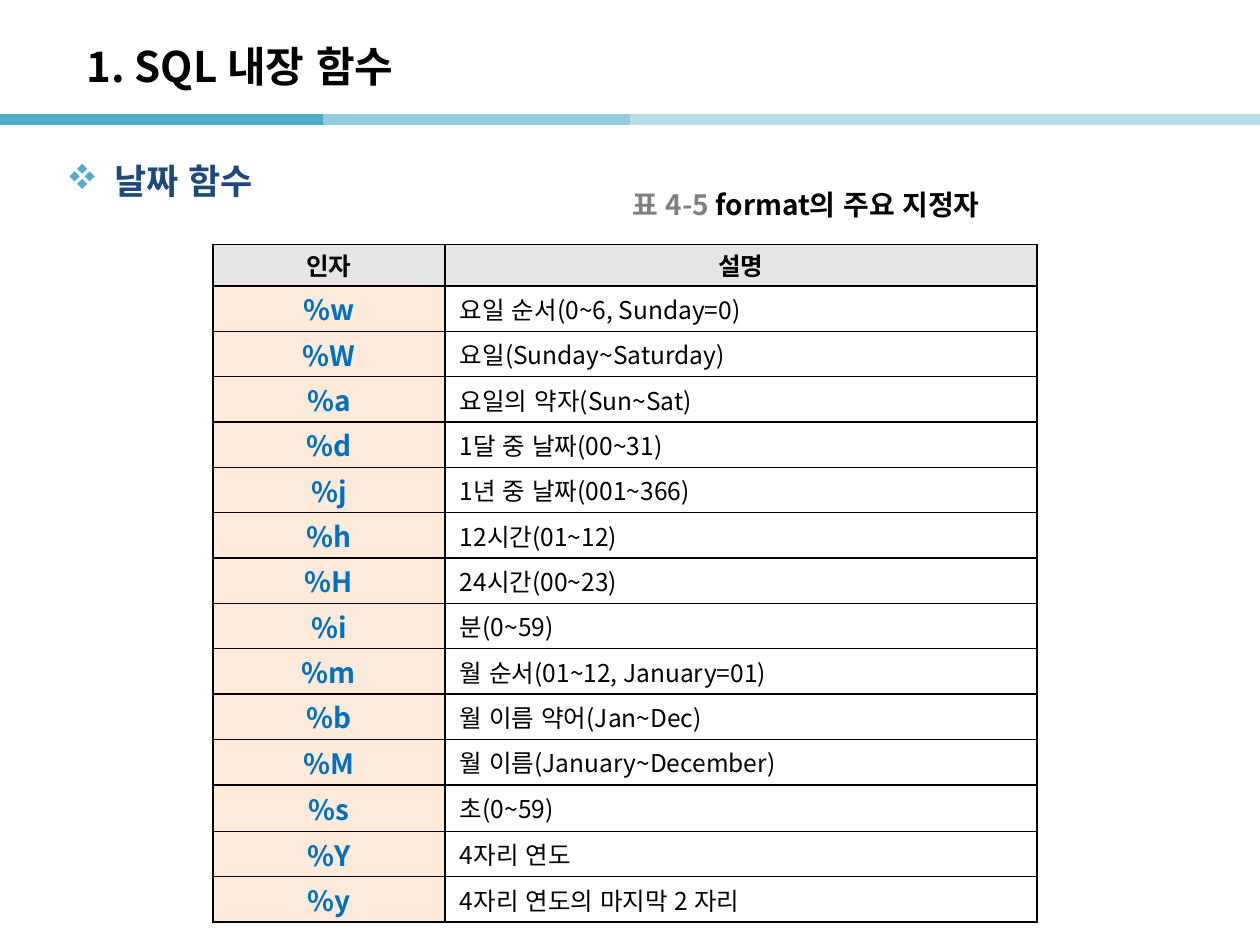
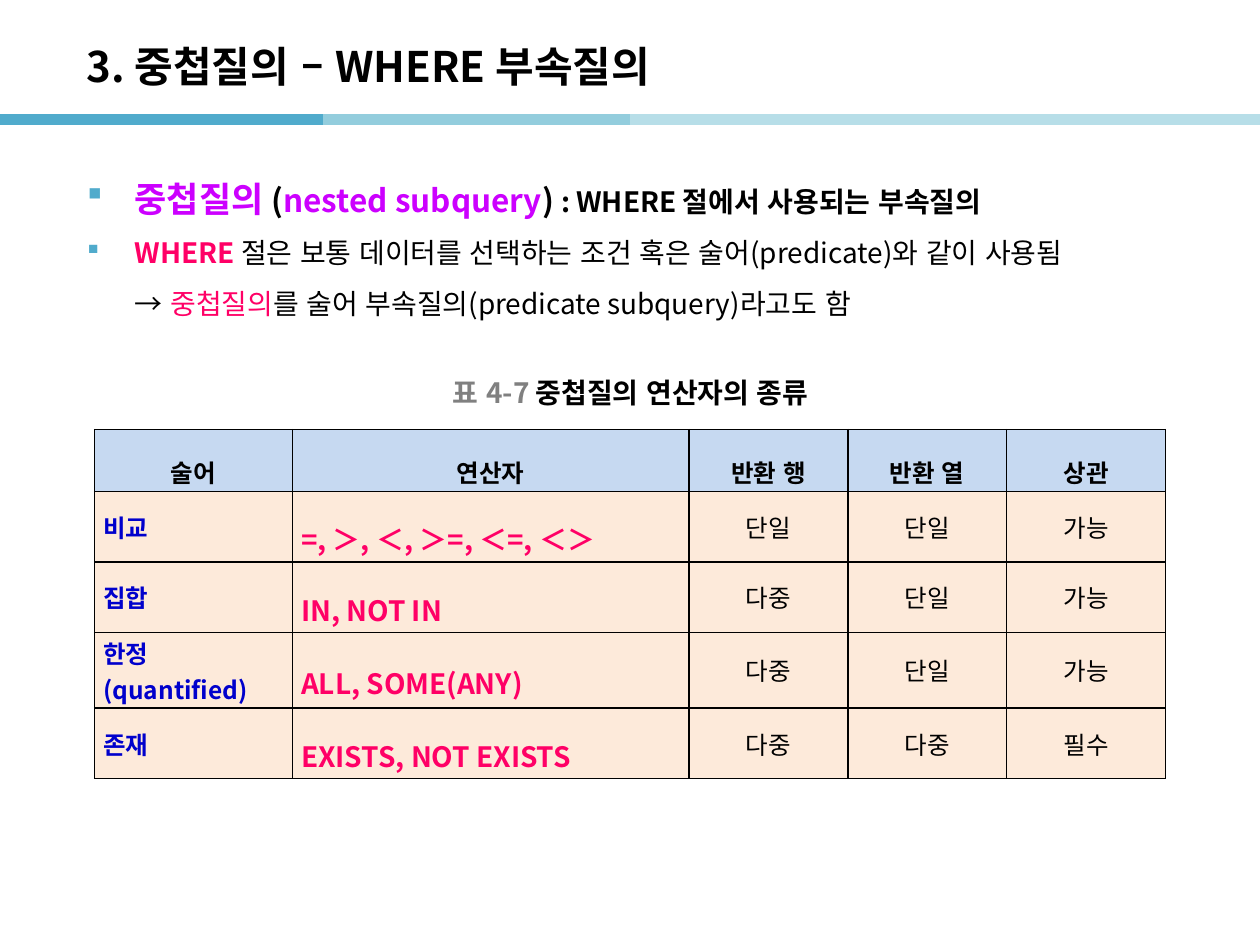
from lxml.etree import SubElement
from pptx import Presentation
from pptx.dml.color import RGBColor
from pptx.enum.lang import MSO_LANGUAGE_ID as Language
from pptx.enum.shapes import MSO_CONNECTOR
from pptx.enum.text import MSO_ANCHOR as Anchor, PP_ALIGN as Align
from pptx.oxml.ns import qn
from pptx.util import Inches, Pt

FONT = "Noto Sans CJK KR"
COLORS = {
    "black": "000000", "gray": "808080", "navy": "1F497D", "blue": "0070C0",
    "royal": "0000CC", "pink": "FF0066", "violet": "CC00FF",
    "teal": "50ABCC", "aqua": "93CDDD", "pale": "B7DEE8",
    "silver": "E5E5E5", "peach": "FDEADA", "sky": "C6D9F1",
}
BANDS = [(0, "teal"), (2.56, "aqua"), (5, "pale"), (7.44, "pale")]
BAND_TOP, BAND_WIDTH = 0.95, 2.56
TITLE_BOX = (0.59, 0.22, 8.27, 0.6)
INDENT = 0.38
BULLET_FONT, DIAMONDS, SQUARE = "Wingdings", "v", "§"

DATE_TITLE = "1. SQL 내장 함수"
DATE_HEADING = "날짜 함수"
DATE_CAPTION = ("표 4-5 ", "format의 주요 지정자")
DATE_FORMATS = [
    ("인자", "설명"),
    ("%w", "요일 순서(0~6, Sunday=0)"),
    ("%W", "요일(Sunday~Saturday)"),
    ("%a", "요일의 약자(Sun~Sat)"),
    ("%d", "1달 중 날짜(00~31)"),
    ("%j", "1년 중 날짜(001~366)"),
    ("%h", "12시간(01~12)"),
    ("%H", "24시간(00~23)"),
    ("%i", "분(0~59)"),
    ("%m", "월 순서(01~12, January=01)"),
    ("%b", "월 이름 약어(Jan~Dec)"),
    ("%M", "월 이름(January~December)"),
    ("%s", "초(0~59)"),
    ("%Y", "4자리 연도"),
    ("%y", "4자리 연도의 마지막 2 자리"),
]
DATE_HEIGHTS = [0.33] + [0.36] * 11 + [0.37] + [0.36] * 2

NESTED_TITLE = "3. 중첩질의 – WHERE 부속질의"
NESTED_POINTS = [
    (SQUARE, [("중첩질의", 20, "violet", True), (" ", 16, "violet", True),
              ("(", 18, "black", True), ("nested subquery", 18, "violet", True),
              (") ", 18, "black", True),
              (": WHERE 절에서 사용되는 부속질의", 16, "black", True)]),
    (SQUARE, [("WHERE ", 16, "pink", True),
              ("절은 보통 데이터를 선택하는 조건 혹은 술어(predicate)와 같이 사용됨",
               16, "black", False)]),
    (None, [("→ ", 16, "black", False), ("중첩질의", 16, "pink", False),
            ("를 술어 부속질의(predicate subquery)라고도 함", 16, "black", False)]),
]
NESTED_CAPTION = ("표 4-7 ", "중첩질의 연산자의 종류")
OPERATORS = [
    ("술어", "연산자", "반환 행", "반환 열", "상관"),
    ("비교", "=, ＞, ＜, ＞=, ＜=, ＜＞", "단일", "단일", "가능"),
    ("집합", "IN, NOT IN", "다중", "단일", "가능"),
    ("한정(quantified)", "ALL, SOME(ANY)", "다중", "단일", "가능"),
    ("존재", "EXISTS, NOT EXISTS", "다중", "다중", "필수"),
]
OPERATOR_HEIGHTS = [0.49, 0.56, 0.56, 0.6, 0.56]

# size, colour, bold, alignment, line spacing, fill, left margin
DATE_HEAD = (14, "black", True, Align.CENTER, None, "silver", 0.07)
DATE_COLUMNS = [
    (16, "blue", True, Align.CENTER, None, "peach", 0.07),
    (14, "black", False, Align.JUSTIFY, None, None, 0.12),
]
OPERATOR_HEAD = (14, "black", True, Align.CENTER, 1.6, "sky", 0.07)
OPERATOR_COLUMNS = [
    (14, "royal", True, Align.LEFT, None, "peach", 0.07),
    (16, "pink", True, Align.LEFT, 1.6, "peach", 0.07),
] + [(14, "black", False, Align.CENTER, None, "peach", 0.07)] * 3


def rgb(name):
    return RGBColor.from_string(COLORS[name])


def write(paragraph, runs, align=Align.LEFT, spacing=None):
    paragraph.alignment = align
    if spacing:
        paragraph.line_spacing = spacing
    for text, size, color, bold in runs:
        run = paragraph.add_run()
        run.text = text
        run.font.size, run.font.bold, run.font.name = Pt(size), bold, FONT
        run.font.color.rgb = rgb(color)
        run.font.language_id = Language.KOREAN
        SubElement(run.font._element, qn("a:ea"), typeface=FONT)


def add_bullet(paragraph, mark):
    props = paragraph._p.get_or_add_pPr()
    props.set("marL", str(Inches(INDENT)))
    props.set("indent", str(-Inches(INDENT) if mark else 0))
    if mark:
        color = SubElement(props, qn("a:buClr"))
        SubElement(color, qn("a:srgbClr"), val=COLORS["teal"])
        SubElement(props, qn("a:buFont"), typeface=BULLET_FONT,
                   pitchFamily="2", charset="2")
        SubElement(props, qn("a:buChar"), char=mark)


def add_text(slide, box, anchor=Anchor.MIDDLE, wrap=True):
    frame = slide.shapes.add_textbox(*map(Inches, box)).text_frame
    frame.word_wrap, frame.vertical_anchor = wrap, anchor
    return frame


def add_caption(slide, box, caption, align):
    number, label = caption
    frame = add_text(slide, box, wrap=False)
    write(frame.paragraphs[0],
          [(number, 16, "gray", True), (label, 16, "black", True)], align)


def start_slide(deck, title):
    slide = deck.slides.add_slide(deck.slide_layouts[6])
    for left, color in BANDS:
        band = slide.shapes.add_connector(
            MSO_CONNECTOR.STRAIGHT, Inches(left), Inches(BAND_TOP),
            Inches(left + BAND_WIDTH), Inches(BAND_TOP))
        band.line.color.rgb, band.line.width = rgb(color), Pt(6)
        SubElement(band._element.spPr, qn("a:effectLst"))
    write(add_text(slide, TITLE_BOX).paragraphs[0], [(title, 24, "black", True)])
    return slide


def add_borders(cell):
    props = cell._tc.get_or_add_tcPr()
    for position, side in enumerate(("a:lnL", "a:lnR", "a:lnT", "a:lnB")):
        border = SubElement(props, qn(side), w=str(Pt(1)))
        props.insert(position, border)
        solid = SubElement(border, qn("a:solidFill"))
        SubElement(solid, qn("a:srgbClr"), val=COLORS["black"])


def add_grid(slide, corner, widths, heights, rows, head, columns):
    table = slide.shapes.add_table(
        len(rows), len(widths), *map(Inches, corner),
        Inches(sum(widths)), Inches(sum(heights))).table
    table.first_row = table.horz_banding = False
    for column, width in zip(table.columns, widths):
        column.width = Inches(width)
    for index, (row, height) in enumerate(zip(rows, heights)):
        table.rows[index].height = Inches(height)
        styles = columns if index else [head] * len(row)
        for cell, text, style in zip(table.rows[index].cells, row, styles):
            size, color, bold, align, spacing, fill, margin = style
            cell.vertical_anchor = Anchor.MIDDLE
            cell.margin_left, cell.margin_right = Inches(margin), Inches(0.07)
            cell.margin_top = cell.margin_bottom = Inches(0.02)
            if fill:
                cell.fill.solid()
                cell.fill.fore_color.rgb = rgb(fill)
            else:
                cell.fill.background()
            add_borders(cell)
            write(cell.text_frame.paragraphs[0],
                  [(text, size, color, bold)], align, spacing)


def build_date_slide(deck):
    slide = start_slide(deck, DATE_TITLE)
    add_caption(slide, (4.92, 1.47, 3.15, 0.31), DATE_CAPTION, Align.LEFT)
    add_grid(slide, (1.69, 1.94), [1.84, 4.7], DATE_HEIGHTS,
             DATE_FORMATS, DATE_HEAD, DATE_COLUMNS)
    heading = add_text(slide, (0.43, 1.15, 3.31, 0.57)).paragraphs[0]
    write(heading, [(DATE_HEADING, 20, "navy", True)])
    add_bullet(heading, DIAMONDS)


def build_nested_slide(deck):
    slide = start_slide(deck, NESTED_TITLE)
    body = add_text(slide, (0.59, 1.19, 8.82, 1.46), Anchor.TOP)
    for index, (mark, runs) in enumerate(NESTED_POINTS):
        point = body.add_paragraph() if index else body.paragraphs[0]
        write(point, runs, Align.JUSTIFY, 1.5)
        add_bullet(point, mark)
    add_grid(slide, (0.75, 3.41), [1.57, 3.15] + [1.26] * 3,
             OPERATOR_HEIGHTS, OPERATORS, OPERATOR_HEAD, OPERATOR_COLUMNS)
    add_caption(slide, (3.34, 2.96, 3.33, 0.31), NESTED_CAPTION, Align.CENTER)


def main():
    deck = Presentation()
    deck.slide_width, deck.slide_height = Inches(10), Inches(7.5)
    build_date_slide(deck)
    build_nested_slide(deck)
    deck.save("out.pptx")


if __name__ == "__main__":
    main()
